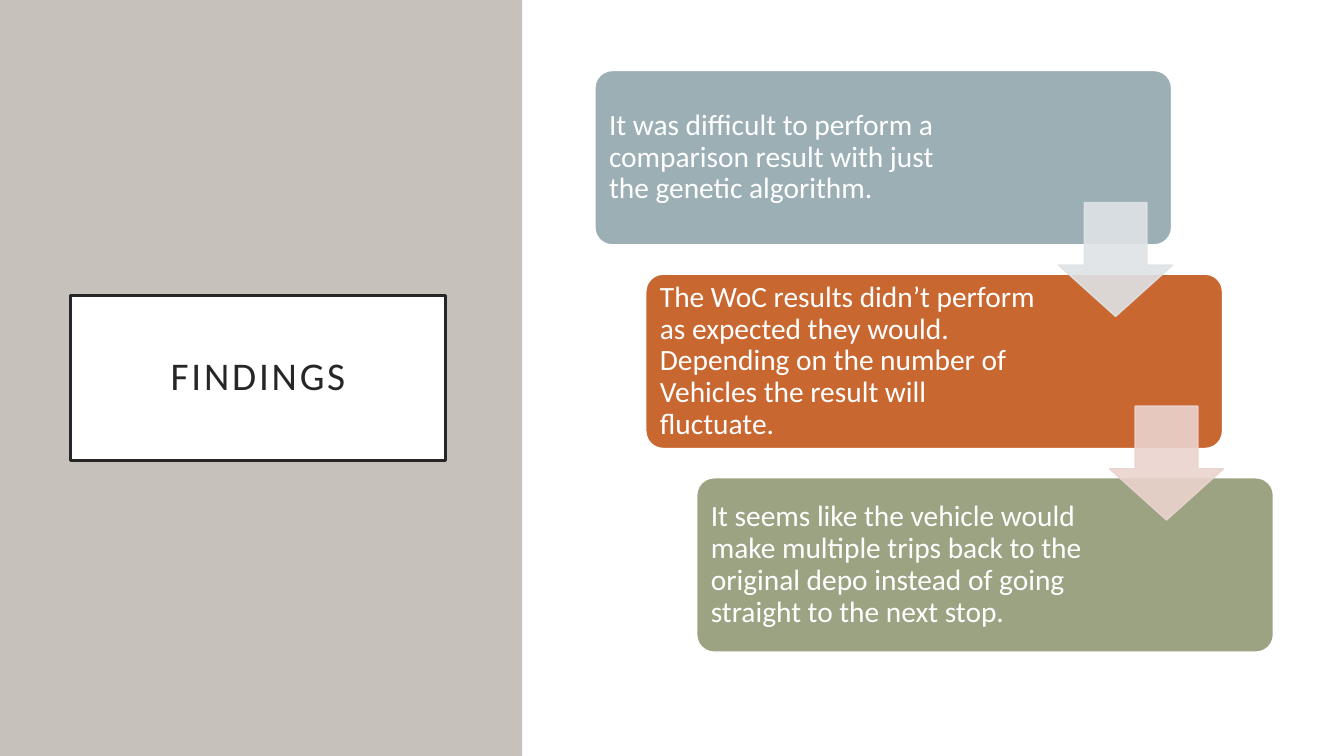
from lxml.etree import SubElement
from pptx import Presentation
from pptx.dml.color import RGBColor
from pptx.enum.shapes import MSO_SHAPE
from pptx.enum.text import MSO_ANCHOR, PP_ALIGN
from pptx.oxml.ns import qn
from pptx.util import Inches, Pt

WHITE = RGBColor(0xFF, 0xFF, 0xFF)
INK = RGBColor(0x26, 0x26, 0x26)
STONE = RGBColor(0xC6, 0xC1, 0xBA)
BLUE_GREY = RGBColor(0x9B, 0xAF, 0xB5)
RUST = RGBColor(0xC9, 0x67, 0x31)
SAGE = RGBColor(0x9C, 0xA3, 0x83)
PALE_GREY = RGBColor(0xDE, 0xE3, 0xE5)
PALE_PINK = RGBColor(0xEB, 0xD3, 0xCE)

FONT = "Calibri"
CARD_WIDTH, CARD_HEIGHT = 5.72, 1.73
ARROW_SIZE = 1.13

FINDINGS = [
    ("It was difficult to perform a comparison result with just the genetic algorithm.", BLUE_GREY, 3.85),
    ("The WoC results didn’t perform as expected they would. Depending on the number of "
     "Vehicles the result will fluctuate.", RUST, 3.99),
    ("It seems like the vehicle would make multiple trips back to the original depo "
     "instead of going straight to the next stop.", SAGE, 3.99),
]
ARROW_COLORS = [PALE_GREY, PALE_PINK]


def add_block(slide, preset, left, top, width, height, fill, line=None, line_width=1):
    shape = slide.shapes.add_shape(preset, Inches(left), Inches(top), Inches(width), Inches(height))
    shape.shadow.inherit = False
    shape.fill.solid()
    shape.fill.fore_color.rgb = fill
    if line is None:
        shape.line.fill.background()
    else:
        shape.line.color.rgb = line
        shape.line.width = Pt(line_width)
    return shape


def write_text(shape, text, size, color, inset, alignment):
    frame = shape.text_frame
    frame.word_wrap = True
    frame.vertical_anchor = MSO_ANCHOR.MIDDLE
    frame.margin_left = frame.margin_right = Inches(inset)
    frame.margin_top = frame.margin_bottom = Inches(inset)
    paragraph = frame.paragraphs[0]
    paragraph.alignment = alignment
    paragraph.line_spacing = 0.9
    run = paragraph.add_run()
    run.text = text
    run.font.name = FONT
    run.font.size = Pt(size)
    run.font.color.rgb = color
    return run


def add_title_panel(slide, left, top, width, height):
    add_block(slide, MSO_SHAPE.RECTANGLE, left, top, width, height, STONE)
    title = add_block(slide, MSO_SHAPE.RECTANGLE, left + 0.7, top + 2.93, 3.72, 1.64, WHITE, INK, 2.5)
    run = write_text(title, "FINDINGS", 28, INK, 0.2, PP_ALIGN.CENTER)
    run.font._element.set("spc", "200")


def add_card(slide, left, top, text, color, text_width):
    card = add_block(slide, MSO_SHAPE.ROUNDED_RECTANGLE, left, top, CARD_WIDTH, CARD_HEIGHT, color, WHITE)
    card.adjustments[0] = 0.1
    label = slide.shapes.add_textbox(
        Inches(left + 0.05), Inches(top + 0.05), Inches(text_width), Inches(CARD_HEIGHT - 0.1))
    write_text(label, text, 21, WHITE, 0.09, PP_ALIGN.LEFT)


def add_step_arrow(slide, left, top, color):
    arrow = add_block(slide, MSO_SHAPE.DOWN_ARROW, left, top, ARROW_SIZE, ARROW_SIZE, color, color)
    arrow.adjustments[0] = 0.55
    arrow.adjustments[1] = 0.45
    for color_element in arrow._element.spPr.iter(qn("a:srgbClr")):
        SubElement(color_element, qn("a:alpha")).set("val", "90000")


def add_findings_steps(slide, left, top, width, height):
    step_x = (width - CARD_WIDTH) / (len(FINDINGS) - 1)
    step_y = (height - CARD_HEIGHT) / (len(FINDINGS) - 1)
    for index, (text, color, text_width) in enumerate(FINDINGS):
        add_card(slide, left + index * step_x, top + index * step_y, text, color, text_width)
    for index, color in enumerate(ARROW_COLORS):
        right = left + index * step_x + CARD_WIDTH
        add_step_arrow(slide, right - ARROW_SIZE + 0.01, top + 1.31 + index * step_y, color)


def main():
    presentation = Presentation()
    presentation.slide_width = Inches(13.33)
    presentation.slide_height = Inches(7.5)
    slide = presentation.slides.add_slide(presentation.slide_layouts[6])
    add_title_panel(slide, 0, 0, 5.18, 7.5)
    add_block(slide, MSO_SHAPE.RECTANGLE, 5.2, 0, 8.13, 7.5, WHITE)
    add_findings_steps(slide, 5.9, 0.7, 6.73, 5.77)
    presentation.save("out.pptx")


if __name__ == "__main__":
    main()
